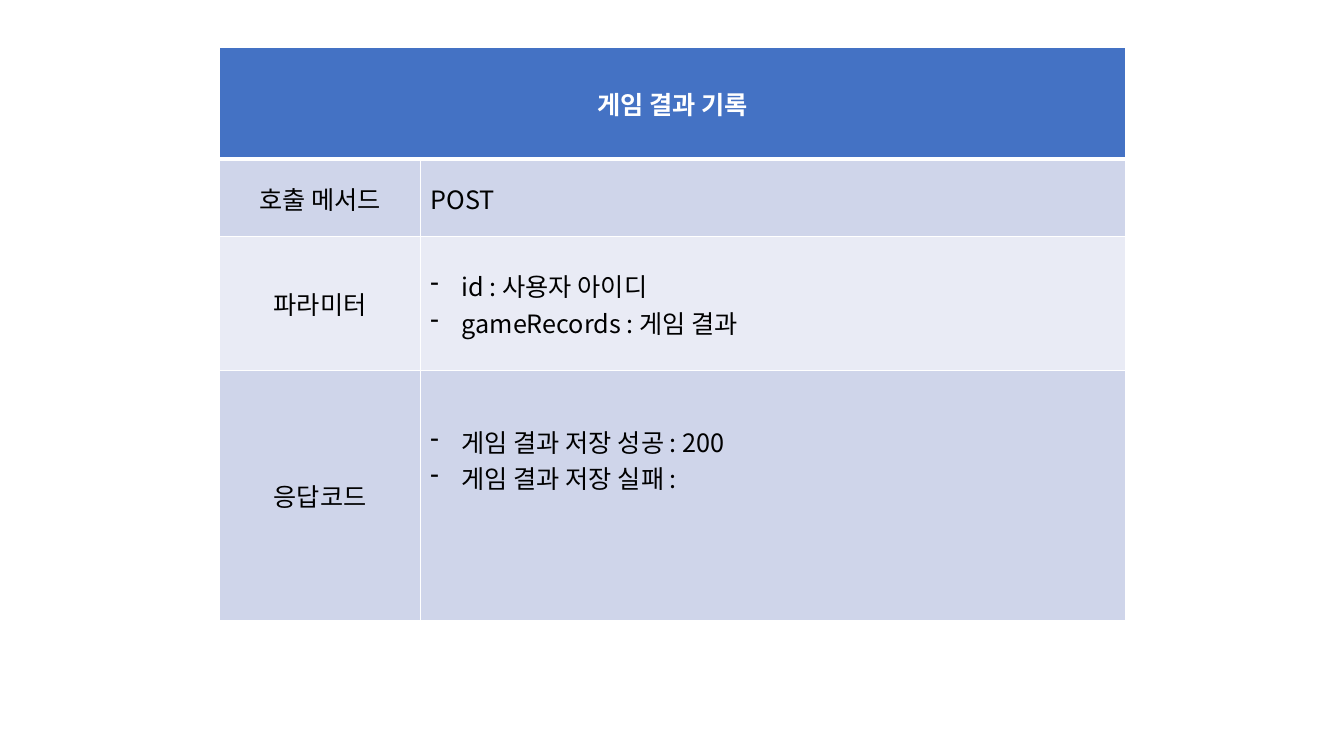
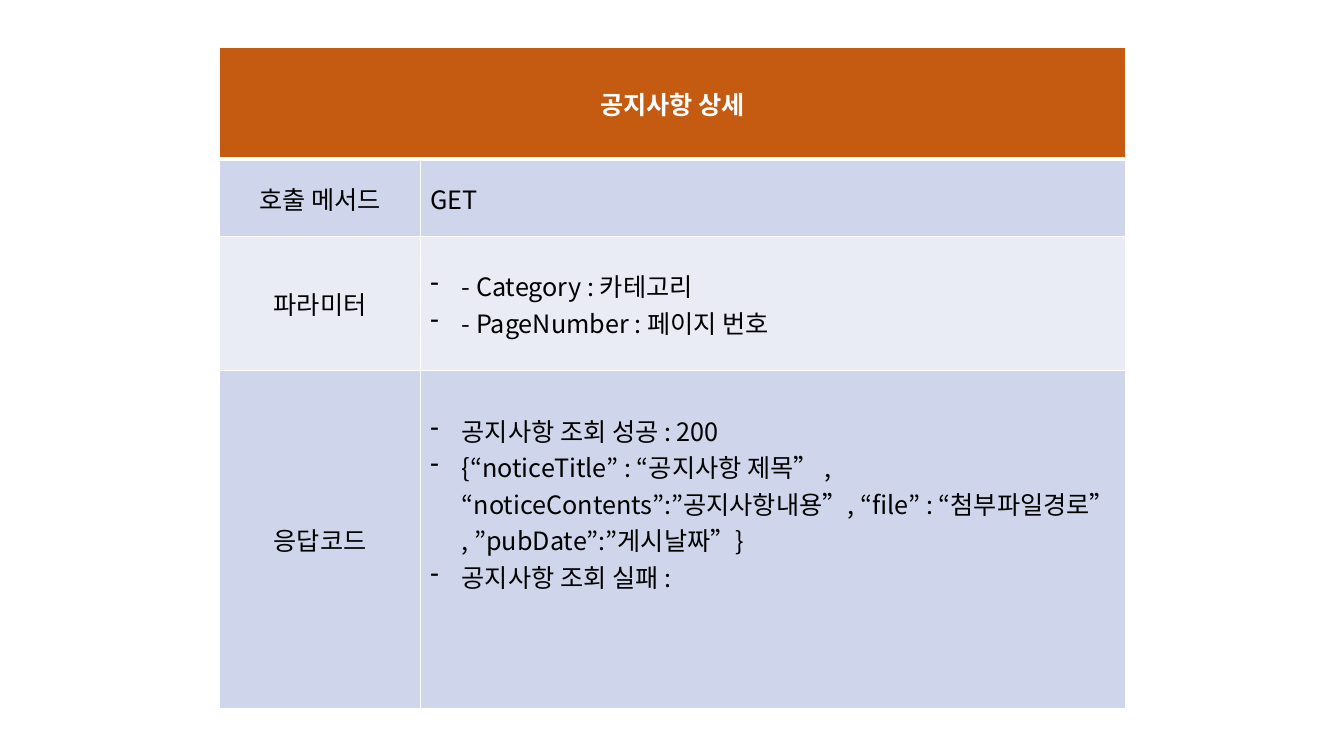
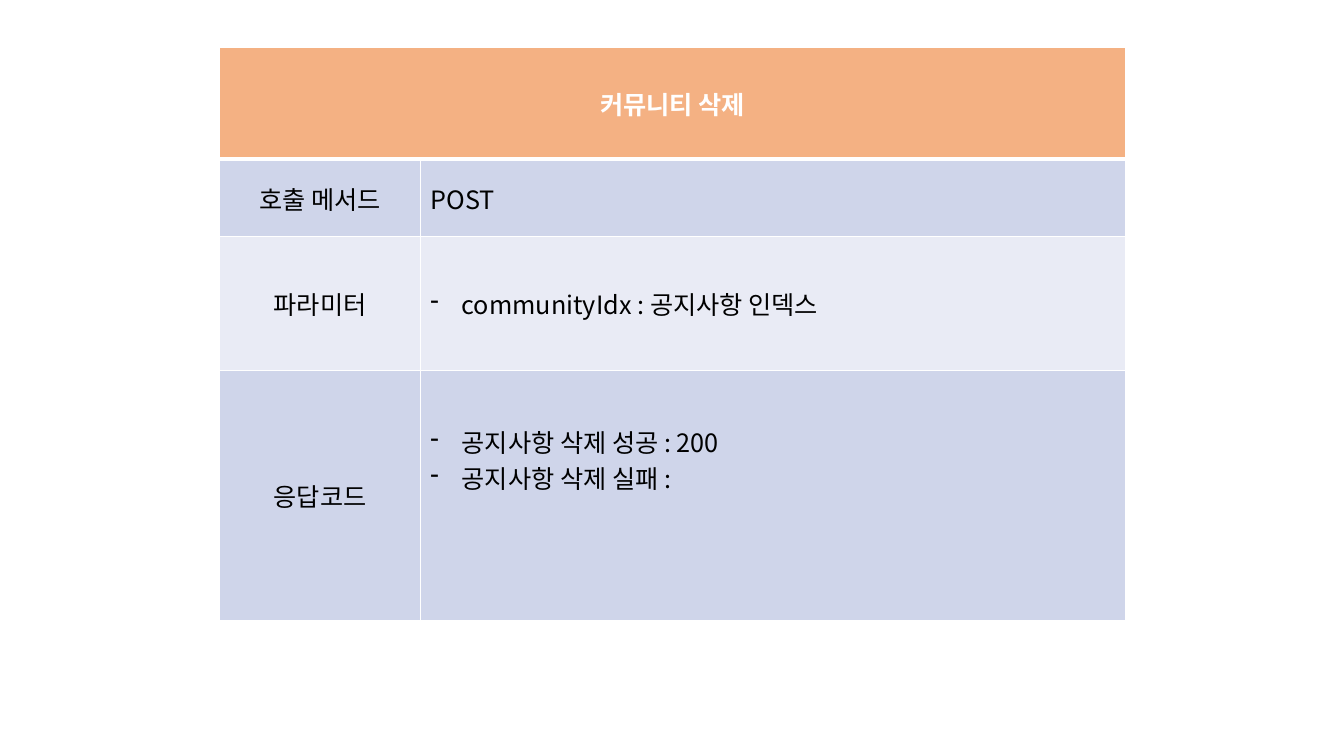
import pptx
import pptx.util
import pptx.dml.color
import pptx.enum.text
import pptx.oxml.ns
import lxml.etree

Inches = pptx.util.Inches
ALIGN = pptx.enum.text.PP_ALIGN

# Each page: heading, heading fill, call method, parameters, response codes
PAGES = [
    ("게임 결과 기록", "4472C4", "POST",
     ["id : 사용자 아이디", "gameRecords : 게임 결과"],
     ["게임 결과 저장 성공 : 200", "게임 결과 저장 실패 :"]),
    ("공지사항 상세", "C55A11", "GET",
     ["- Category : 카테고리", "- PageNumber : 페이지 번호"],
     ["공지사항 조회 성공 : 200",
      "{“noticeTitle” : “공지사항 제목” , “noticeContents”:”공지사항내용”, "
      "“file” : “첨부파일경로” , ”pubDate”:”게시날짜”}",
      "공지사항 조회 실패 :"]),
    ("커뮤니티 삭제", "F4B183", "POST",
     ["communityIdx : 공지사항 인덱스"],
     ["공지사항 삭제 성공 : 200", "공지사항 삭제 실패 :"]),
]
LABELS = ("호출 메서드", "파라미터", "응답코드")

FONT = "Noto Sans CJK KR"
TEXT_SIZE = 18
BANDS = ("CFD5EA", "E9EBF5")
WHITE, BLACK = "FFFFFF", "000000"
SLIDE_SIZE = (13.33, 7.5)
TABLE_AT = (2.18, 0.47)
COLUMNS = (1.99, 6.99)
ROWS = (1.11, 0.77, 1.33, 2.48)
INDENT = 0.31
LINE = 0.36
MARGIN = 0.05
THIN, THICK = 1, 3


def color(value):
    """Turn a hex string into a colour."""
    return pptx.dml.color.RGBColor.from_string(value)


def add_element(parent, tag, **attributes):
    """Append a DrawingML element and return it."""
    element = lxml.etree.SubElement(parent, pptx.oxml.ns.qn(tag))
    for name, value in attributes.items():
        element.set(name, str(value))
    return element


def draw_borders(cell, row):
    """Give a cell white borders, thick between heading and body."""
    widths = {"L": THIN, "R": THIN,
              "T": THICK if row == 1 else THIN,
              "B": THICK if row == 0 else THIN}
    properties = cell._tc.get_or_add_tcPr()
    for side, width in widths.items():
        line = add_element(properties, f"a:ln{side}", w=pptx.util.Pt(width))
        fill = add_element(line, "a:solidFill")
        add_element(fill, "a:srgbClr", val=WHITE)


def write_lines(cell, lines, align, ink=BLACK, bold=False, dashes=False):
    """Write one paragraph per line, with hanging dashes if asked."""
    cell.vertical_anchor = pptx.enum.text.MSO_ANCHOR.MIDDLE
    style = {"name": FONT, "size": pptx.util.Pt(TEXT_SIZE), "bold": bold}
    for index, line in enumerate(lines):
        frame = cell.text_frame
        para = frame.add_paragraph() if index else frame.paragraphs[0]
        para.alignment = align
        if dashes:
            properties = para._p.get_or_add_pPr()
            properties.set("marL", str(Inches(INDENT)))
            properties.set("indent", str(-Inches(INDENT)))
            add_element(properties, "a:buChar", char="-")
        span = para.add_run()
        span.text = line
        for name, value in style.items():
            setattr(span.font, name, value)
        span.font.color.rgb = color(ink)
        add_element(span._r.get_or_add_rPr(), "a:ea", typeface=FONT)


def add_call_table(page, heading, heading_fill, method, parameters, responses):
    """Add the table that describes one call."""
    table = page.shapes.add_table(
        len(ROWS), len(COLUMNS), *map(Inches, TABLE_AT),
        Inches(sum(COLUMNS)), Inches(sum(ROWS))).table
    for column, width in zip(table.columns, COLUMNS):
        column.width = Inches(width)
    for index, height in enumerate(ROWS):
        table.rows[index].height = Inches(height)
        for cell in table.rows[index].cells:
            draw_borders(cell, index)
            cell.fill.solid()
            band = BANDS[(index - 1) % 2] if index else heading_fill
            cell.fill.fore_color.rgb = color(band)

    table.cell(0, 0).merge(table.cell(0, 1))
    write_lines(table.cell(0, 0), [heading], ALIGN.CENTER, WHITE, bold=True)
    details = ([method], parameters, responses)
    for row, (label, lines) in enumerate(zip(LABELS, details), start=1):
        write_lines(table.cell(row, 0), [label], ALIGN.CENTER)
        write_lines(table.cell(row, 1), lines, ALIGN.LEFT, dashes=row > 1)

    # The response text keeps one line free above and three below
    response_cell = table.cell(len(ROWS) - 1, 1)
    response_cell.margin_top = Inches(MARGIN + LINE)
    response_cell.margin_bottom = Inches(MARGIN + 3 * LINE)


deck = pptx.Presentation()
deck.slide_width, deck.slide_height = map(Inches, SLIDE_SIZE)
blank_layout = deck.slide_layouts[6]
for content in PAGES:
    add_call_table(deck.slides.add_slide(blank_layout), *content)
deck.save("out.pptx")
